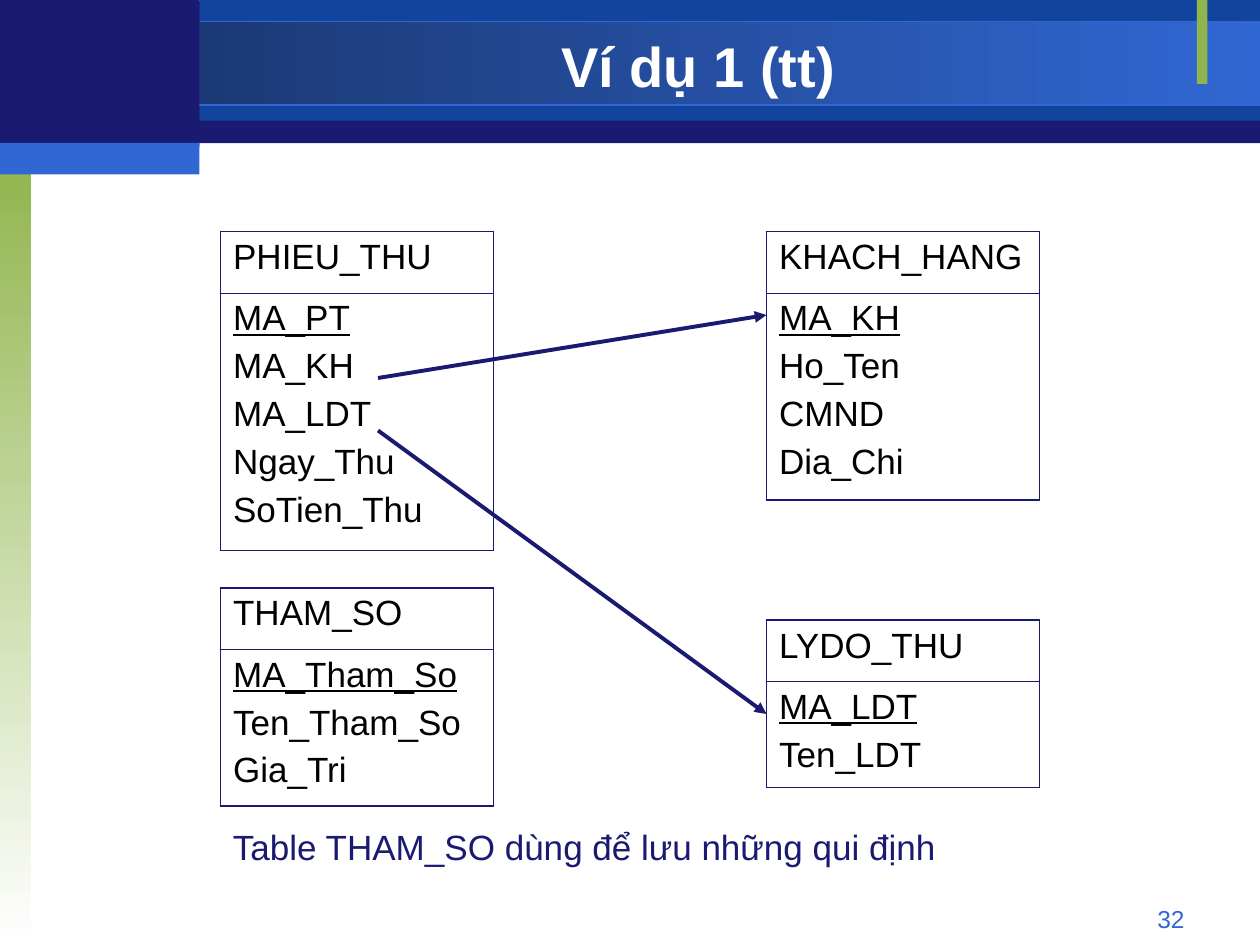
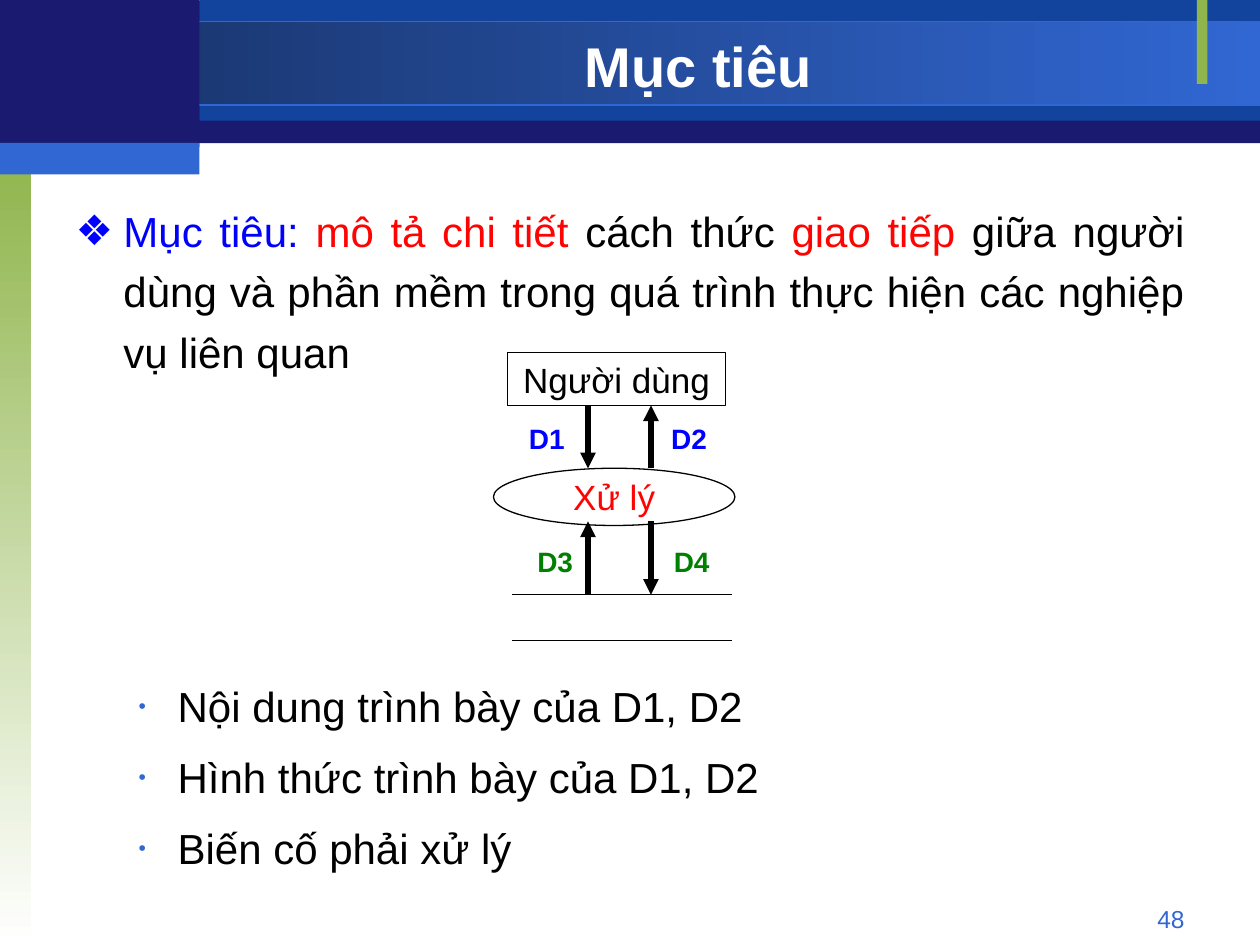
from lxml.etree import SubElement
from pptx import Presentation
from pptx.dml.color import RGBColor
from pptx.enum.shapes import MSO_CONNECTOR, MSO_SHAPE
from pptx.enum.text import MSO_ANCHOR, MSO_AUTO_SIZE, PP_ALIGN
from pptx.oxml import parse_xml
from pptx.oxml.ns import nsdecls, qn
from pptx.util import Inches, Pt

FONT = "Arial"
NAVY = RGBColor(0x1A, 0x1A, 0x70)
ROYAL = RGBColor(0x12, 0x44, 0x9E)
STEEL = RGBColor(0x17, 0x30, 0x62)
SKY = RGBColor(0x31, 0x67, 0xD3)
LEAF = RGBColor(0x90, 0xB5, 0x4D)
WHITE = RGBColor(0xFF, 0xFF, 0xFF)
BLACK = RGBColor(0, 0, 0)
BLUE = RGBColor(0, 0, 0xFF)
RED = RGBColor(0xFF, 0x03, 0x03)
GREEN = RGBColor(0, 0x80, 0)

COLUMNS, ROWS = 120, 90
CELL = Inches(10) / COLUMNS
CORNER = 19
LEFT_TABLES, RIGHT_TABLES = 21, 73
TABLE_WIDTH = 26
HEADER_HEIGHT = 5.85
LEFT_FLOW, RIGHT_FLOW = 56, 62
LINE_SPACING = 1.2


def cells(*counts):
    return [round(CELL * count) for count in counts]


def style(paragraph, size, color, bold=False, align=PP_ALIGN.LEFT):
    paragraph.alignment = align
    font = paragraph.font
    font.name, font.size, font.bold = FONT, Pt(size), bold
    font.color.rgb = color


def add_outline(page, kind, area, line=None, width=0.75):
    shape = page.shapes.add_shape(kind, *cells(*area))
    shape.shadow.inherit = False
    shape.fill.background()
    if line is None:
        shape.line.fill.background()
    else:
        shape.line.color.rgb = line
        shape.line.width = Pt(width)
    return shape


def add_band(page, area, color, fade=None, angle=0, line=None):
    band = add_outline(page, MSO_SHAPE.RECTANGLE, area, line)
    if fade is None:
        band.fill.solid()
        band.fill.fore_color.rgb = color
    else:
        band.fill.gradient()
        band.fill.gradient_angle = angle
        for stop, position, tone in zip(band.fill.gradient_stops, (0, 1), (color, fade)):
            stop.position = position
            stop.color.rgb = tone
    return band


def dress_master(deck, page):
    bands = [
        add_band(page, (0, 0.1, COLUMNS, 13.55), NAVY),
        add_band(page, (CORNER, 0, COLUMNS - CORNER, 11.5), ROYAL),
        add_band(page, (0, 2.05, COLUMNS, 7.95), STEEL, SKY, line=SKY),
        add_band(page, (0, 15, 3, ROWS - 15), LEAF, WHITE, angle=270),
        add_band(page, (114, 0, 1, 8), LEAF),
        add_band(page, (0, 0, CORNER, 14), NAVY),
        add_band(page, (0, 13.6, CORNER, 3), SKY),
    ]
    tree = deck.slide_master.shapes.element
    for layer, band in enumerate(bands, start=2):
        tree.insert(layer, band.element)


def place(shape, area):
    shape.left, shape.top, shape.width, shape.height = cells(*area)


def add_text(page, area, text, size, color, bold=False, align=PP_ALIGN.LEFT):
    box = page.shapes.add_textbox(*cells(*area))
    box.text_frame.word_wrap = True
    paragraph = box.text_frame.paragraphs[0]
    paragraph.text = text
    style(paragraph, size, color, bold, align)


def fill_page(page, title, number):
    heading = page.shapes.title
    place(heading, (CORNER, 2.7, 95, 7))
    heading.text_frame.text = title
    heading.text_frame.vertical_anchor = MSO_ANCHOR.MIDDLE
    heading.text_frame.auto_size = MSO_AUTO_SIZE.NONE
    style(heading.text_frame.paragraphs[0], 32, WHITE, True, PP_ALIGN.CENTER)
    add_text(page, (86, 85.55, 28, 3.25), str(number), 14, SKY, align=PP_ALIGN.RIGHT)


def add_line(page, start, end, color, width, arrow=False):
    line = page.shapes.add_connector(MSO_CONNECTOR.STRAIGHT, *cells(*start, *end))
    line.line.color.rgb = color
    line.line.width = Pt(width)
    if arrow:
        outline = line.element.spPr.find(qn("a:ln"))
        SubElement(outline, qn("a:tailEnd"), type="triangle")
    SubElement(line.element.spPr, qn("a:effectLst"))


def border_cell(cell, top, bottom):
    properties = cell._tc.get_or_add_tcPr()
    for side, width in (("L", 1.08), ("R", 1.08), ("T", top), ("B", bottom)):
        properties.append(parse_xml(
            f'<a:ln{side} {nsdecls("a")} w="{Pt(width)}"><a:solidFill>'
            f'<a:srgbClr val="{NAVY}"/></a:solidFill></a:ln{side}>'))
    cell.fill.background()


def add_relation(page, left, top, name, key, *fields):
    body_height = 4.8 * (len(fields) + 1) + 0.5
    area = (left, top, TABLE_WIDTH, HEADER_HEIGHT + body_height)
    table = page.shapes.add_table(2, 1, *cells(*area)).table
    table.first_row = table.horz_banding = False
    table.rows[0].height, table.rows[1].height = cells(HEADER_HEIGHT, body_height)
    header, body = table.cell(0, 0), table.cell(1, 0)
    header.text = name
    body.text = "\n".join((key, *fields))
    border_cell(header, 1.08, 0.45)
    border_cell(body, 0.45, 1.08)
    for cell in (header, body):
        for index, paragraph in enumerate(cell.text_frame.paragraphs):
            if index:
                paragraph.space_before = Pt(5)
            style(paragraph, 20, BLACK)
    body.text_frame.paragraphs[0].font.underline = True


def add_bullet(paragraph, symbol, color, percent, margin, hang):
    properties = paragraph._p.get_or_add_pPr()
    properties.set("marL", str(Inches(margin)))
    properties.set("indent", str(Inches(-hang)))
    tone = SubElement(properties, qn("a:buClr"))
    SubElement(tone, qn("a:srgbClr"), val=str(color))
    SubElement(properties, qn("a:buSzPct"), val=str(percent * 1000))
    SubElement(properties, qn("a:buFont"), typeface=FONT)
    SubElement(properties, qn("a:buChar"), char=symbol)


def fill_goals(page, spans, goals):
    body = page.placeholders[1]
    place(body, (6, 18, 108, 66))
    frame = body.text_frame
    frame.auto_size = MSO_AUTO_SIZE.NONE
    lead = frame.paragraphs[0]
    lead.line_spacing = LINE_SPACING
    lead.space_before = Pt(0)
    add_bullet(lead, "❖", BLUE, 100, 0.38, 0.38)
    style(lead, 24, BLACK, align=PP_ALIGN.JUSTIFY)
    for text, color in spans:
        span = lead.add_run()
        span.text = text
        span.font.color.rgb = color
    for index, goal in enumerate(goals):
        para = frame.add_paragraph()
        para.text = goal
        para.level = 1
        para.line_spacing = LINE_SPACING
        para.space_before = Pt(6 if index else 168)
        add_bullet(para, "•", SKY, 50, 0.81, 0.31)
        style(para, 24, BLACK, align=PP_ALIGN.JUSTIFY)


def add_node(page, kind, area, text, color):
    node = add_outline(page, kind, area, BLACK)
    node.text_frame.word_wrap = False
    node.text_frame.vertical_anchor = MSO_ANCHOR.MIDDLE
    para = node.text_frame.paragraphs[0]
    para.text = text
    style(para, 20, color, align=PP_ALIGN.CENTER)


def build_schema(page):
    fill_page(page, "Ví dụ 1 (tt)", 32)
    add_relation(page, LEFT_TABLES, 22.05, "PHIEU_THU",
                 "MA_PT", "MA_KH", "MA_LDT", "Ngay_Thu", "SoTien_Thu")
    add_relation(page, RIGHT_TABLES, 22.05, "KHACH_HANG",
                 "MA_KH", "Ho_Ten", "CMND", "Dia_Chi")
    add_relation(page, RIGHT_TABLES, 59.05, "LYDO_THU", "MA_LDT", "Ten_LDT")
    add_relation(page, LEFT_TABLES, 56, "THAM_SO",
                 "MA_Tham_So", "Ten_Tham_So", "Gia_Tri")
    for start, end in ((36, 30), (41, 68)):
        add_line(page, (36, start), (RIGHT_TABLES, end), NAVY, 2.25, arrow=True)
    add_text(page, (LEFT_TABLES, 78, 85, 5.25),
             "Table THAM_SO dùng để lưu những qui định", 20, NAVY)


def build_goals(page):
    fill_page(page, "Mục tiêu", 48)
    fill_goals(page, [
        ("Mục tiêu: ", BLUE),
        ("mô tả chi tiết", RED),
        (" cách thức ", BLACK),
        ("giao tiếp", RED),
        (" giữa người dùng và phần mềm trong quá trình thực hiện các nghiệp vụ liên quan", BLACK),
    ], ["Nội dung trình bày của D1, D2",
        "Hình thức trình bày của D1, D2",
        "Biến cố phải xử lý"])
    add_node(page, MSO_SHAPE.RECTANGLE, (48.35, 33.6, 20.75, 5), "Người dùng", BLACK)
    for store_edge in (56.65, 61):
        add_line(page, (48.75, store_edge), (69.7, store_edge), BLACK, 0.75)
    for column, start, end in ((LEFT_FLOW, 38.6, 44.6), (RIGHT_FLOW, 44.6, 38.6),
                               (LEFT_FLOW, 56.55, 49.65), (RIGHT_FLOW, 49.65, 56.65)):
        add_line(page, (column, start), (column, end), BLACK, 3, arrow=True)
    for label, left, top, color in (("D1", 49.2, 39.6, BLUE), ("D2", 62.75, 39.6, BLUE),
                                    ("D3", 50, 51.25, GREEN), ("D4", 63, 51.25, GREEN)):
        add_text(page, (left, top, 6.5, 4.45), label, 16, color, bold=True)
    add_node(page, MSO_SHAPE.OVAL, (47, 44.6, 23, 5.45), "Xử lý", RED)


def main():
    deck = Presentation()
    deck.slide_width, deck.slide_height = cells(COLUMNS, ROWS)
    title_only, title_and_body = deck.slide_layouts[5], deck.slide_layouts[1]
    schema = deck.slides.add_slide(title_only)
    dress_master(deck, schema)
    build_schema(schema)
    build_goals(deck.slides.add_slide(title_and_body))
    deck.save("out.pptx")


if __name__ == "__main__":
    main()
